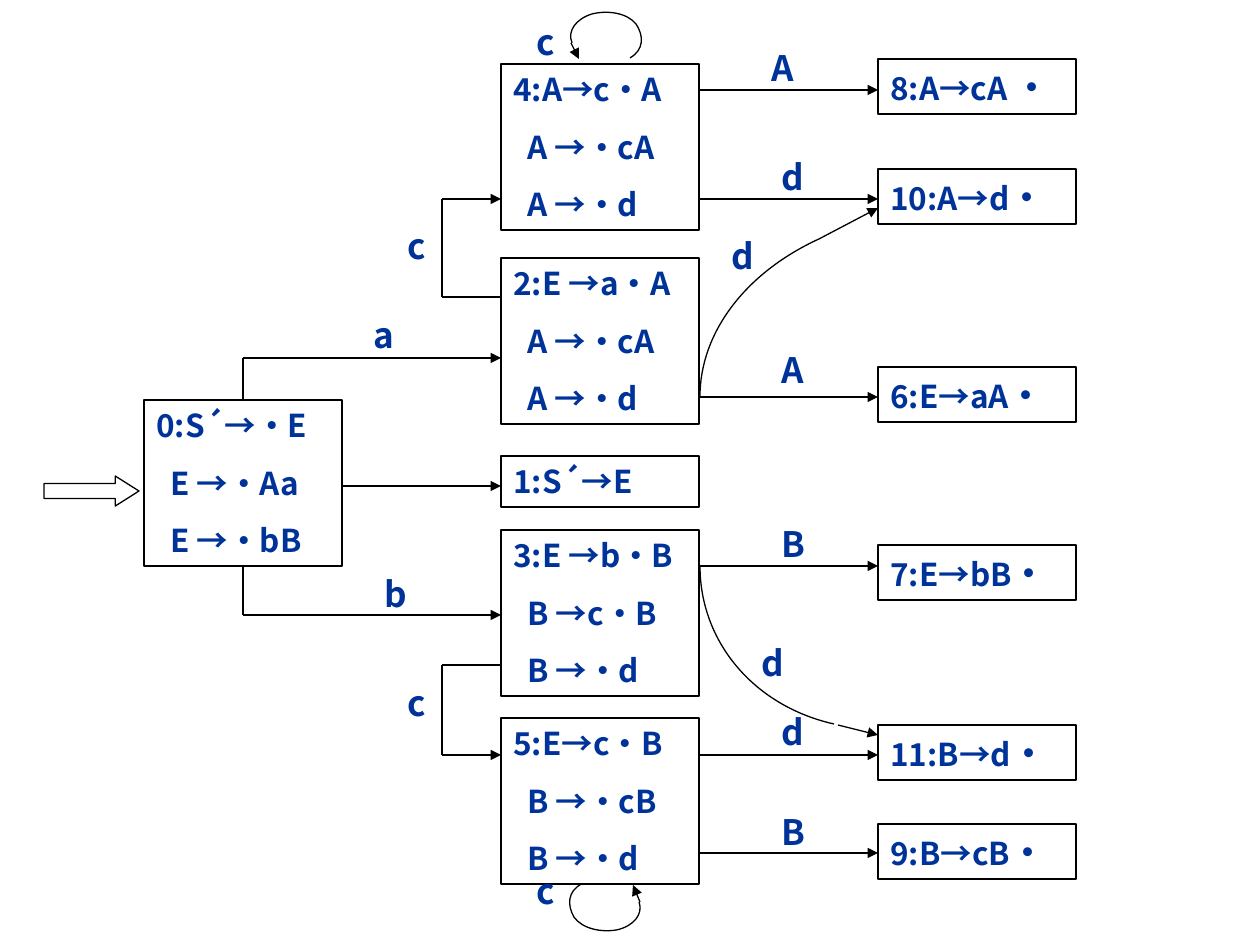
"""Draws the LR(0) item-set automaton of a small grammar on one slide."""
from itertools import pairwise
from typing import NamedTuple

from lxml import etree
from pptx import Presentation
from pptx.dml.color import RGBColor
from pptx.enum.shapes import MSO_CONNECTOR, MSO_SHAPE
from pptx.enum.text import MSO_ANCHOR, PP_ALIGN
from pptx.oxml.ns import qn
from pptx.util import Emu, Pt

STRAIGHT = MSO_CONNECTOR.STRAIGHT
RECTANGLE, RIGHT_ARROW = MSO_SHAPE.RECTANGLE, MSO_SHAPE.RIGHT_ARROW
TOP, CENTER, LEFT = MSO_ANCHOR.TOP, PP_ALIGN.CENTER, PP_ALIGN.LEFT
EMU_PER_PX = 914400 / 126
COLORS = {"text": "003399", "line": "000000"}
FONT = "Noto Sans CJK SC"
STATE_WIDTH, ITEM_INDENT = 198, 14
TOP_SITE, BOTTOM_SITE = 0, 2
START_X, MIDDLE_X, FINAL_X, BACK_X = 144, 501, 878, 442
MIDDLE_RIGHT = MIDDLE_X + STATE_WIDTH
START_MIDDLE = START_X + STATE_WIDTH // 2

Point = tuple[int, int]


class State(NamedTuple):
    left: int
    top: int
    height: int
    items: tuple[str, ...]
    dot: str = ""


class Edge(NamedTuple):
    points: tuple[Point, ...]
    source: int | None = None
    site: int = 0


class Curve(NamedTuple):
    left: int
    top: int
    width: int
    height: int
    controls: tuple[Point, ...]
    rotation: float = 0


class Label(NamedTuple):
    text: str
    center: int
    top: int


STATES = (
    State(START_X, 400, 166, ("0:S´→·E", "E →·Aa", "E →·bB")),
    State(MIDDLE_X, 64, 166, ("4:A→c·A", "A →·cA", "A →·d")),
    State(MIDDLE_X, 258, 166, ("2:E →a·A", "A →·cA", "A →·d")),
    State(MIDDLE_X, 456, 51, ("1:S´→E",)),
    State(MIDDLE_X, 530, 166, ("3:E →b·B", "B →c·B", "B →·d")),
    State(MIDDLE_X, 718, 166, ("5:E→c·B", "B →·cB", "B →·d")),
    State(FINAL_X, 59, 55, ("8:A→cA ",), "·"),
    State(FINAL_X, 169, 55, ("10:A→d",), "·"),
    State(FINAL_X, 367, 55, ("6:E→aA",), "·"),
    State(FINAL_X, 545, 55, ("7:E→bB",), "·"),
    State(FINAL_X, 725, 55, ("11:B→d",), "·"),
    State(FINAL_X, 824, 55, ("9:B→cB",), "·"),
)
EDGES = (
    Edge(((START_MIDDLE, 400), (START_MIDDLE, 358), (MIDDLE_X, 358)), 0, TOP_SITE),
    Edge(((START_X + STATE_WIDTH, 486), (MIDDLE_X, 486))),
    Edge(((START_MIDDLE, 566), (START_MIDDLE, 615), (MIDDLE_X, 615)), 0, BOTTOM_SITE),
    Edge(((MIDDLE_X, 297), (BACK_X, 297), (BACK_X, 199), (MIDDLE_X, 199))),
    Edge(((MIDDLE_X, 665), (BACK_X, 665), (BACK_X, 755), (MIDDLE_X, 755))),
    *(Edge(((MIDDLE_RIGHT, y), (FINAL_X, y))) for y in (90, 199, 397, 566, 755, 853)),
    Edge(((571, 43), (579, 59))),
    Edge(((640, 902), (633, 885))),
    Edge(((838, 725), (FINAL_X, 735))),
    Edge(((819, 239), (FINAL_X, 208))),
)
LOOP = ((59, 44), (73, 36), (73, 22), (65, 10), (56, -1), (37, -4), (21, 0), (5, 5), (-4, 17), (1, 29))
CURVES = (
    Curve(571, 14, 69, 52, LOOP),
    Curve(571, 877, 69, 52, LOOP, 183.3),
    Curve(700, 401, 377, 331, ((243, 8), (323, 26), (377, 90), (377, 166)), 180),
    Curve(699, 214, 466, 374, ((120, 25), (46, 59), (1, 119), (1, 183))),
)
LABELS = (
    Label("c", 546, 14), Label("c", 417, 218), Label("c", 417, 675), Label("c", 546, 863),
    Label("a", 384, 307), Label("b", 396, 566),
    Label("A", 783, 40), Label("d", 793, 149), Label("d", 743, 228), Label("A", 793, 342),
    Label("B", 793, 516), Label("d", 773, 635), Label("d", 793, 704), Label("B", 793, 804),
)


def px(length: float) -> Emu:
    """Turn pixels into EMU."""
    return Emu(round(length * EMU_PER_PX))


def outline(line) -> None:
    """Give a line its colour and width."""
    line.color.rgb = RGBColor.from_string(COLORS["line"])
    line.width = Pt(0.75)


def strip_block(block) -> None:
    """Leave a shape with its outline only."""
    block.shadow.inherit = False
    block.fill.background()
    outline(block.line)


def style(paragraph, size: int, alignment) -> None:
    """Format one paragraph of text."""
    font = paragraph.font
    font.name, font.size, font.bold = FONT, Pt(size), True
    font.color.rgb = RGBColor.from_string(COLORS["text"])
    paragraph.alignment = alignment


def add_block(slide, kind, left: int, top: int, width: int, height: int):
    """Add an outlined preset shape."""
    block = slide.shapes.add_shape(kind, px(left), px(top), px(width), px(height))
    strip_block(block)
    return block


def add_state(slide, state: State):
    """Add a state box listing its items."""
    box = add_block(slide, RECTANGLE, state.left, state.top, STATE_WIDTH, state.height)
    frame = box.text_frame
    frame.vertical_anchor = TOP
    for index, item in enumerate(state.items):
        paragraph = frame.paragraphs[0] if index == 0 else frame.add_paragraph()
        style(paragraph, 18, LEFT)
        paragraph.space_before = Pt(11.2)
        paragraph.add_run().text = item
        if index:
            paragraph._p.get_or_add_pPr().set("marL", str(px(ITEM_INDENT)))
    if state.dot:
        dot = frame.paragraphs[0].add_run()
        dot.text, dot.font.size = state.dot, Pt(20)
    return box


def add_edge(slide, edge: Edge, boxes: list) -> None:
    """Add the straight legs of a transition, the last one with an arrowhead."""
    for index, (start, end) in enumerate(pairwise(edge.points)):
        leg = slide.shapes.add_connector(STRAIGHT, *map(px, start + end))
        outline(leg.line)
        etree.SubElement(leg._element.spPr, qn("a:effectLst"))
        if index == 0 and edge.source is not None:
            leg.begin_connect(boxes[edge.source], edge.site)
    etree.SubElement(leg.line._get_or_add_ln(), qn("a:tailEnd"), type="triangle")


def add_curve(slide, curve: Curve) -> None:
    """Add an open outline of cubic Bézier arcs inside its frame."""
    builder = slide.shapes.build_freeform(curve.left, curve.top, EMU_PER_PX)
    builder.add_line_segments([(curve.left + curve.width, curve.top + curve.height)], close=False)
    bow = builder.convert_to_shape()
    strip_block(bow)
    bow.rotation = curve.rotation
    trace = next(bow._element.iter(qn("a:path")))
    for segment in list(trace):
        trace.remove(segment)
    for index, (x, y) in enumerate(curve.controls):
        if index % 3 == 0 and index:
            pass
        elif index == 0:
            segment = etree.SubElement(trace, qn("a:moveTo"))
        elif index % 3 == 1:
            segment = etree.SubElement(trace, qn("a:cubicBezTo"))
        etree.SubElement(segment, qn("a:pt"), x=str(x), y=str(y))


def add_label(slide, label: Label, width: int = 49) -> None:
    """Add the symbol of a transition."""
    box = slide.shapes.add_textbox(px(label.center - width / 2), px(label.top), px(width), px(55))
    frame = box.text_frame
    frame.word_wrap = True
    frame.text = label.text
    style(frame.paragraphs[0], 20, CENTER)


def main() -> None:
    """Build and save the slide."""
    deck = Presentation()
    deck.slide_width, deck.slide_height = px(1260), px(945)
    slide = deck.slides.add_slide(deck.slide_layouts[6])
    boxes = [add_state(slide, state) for state in STATES]
    entry = add_block(slide, RIGHT_ARROW, 44, 476, 95, 30)
    entry.adjustments[1] = 0.79
    for edge in EDGES:
        add_edge(slide, edge, boxes)
    for curve in CURVES:
        add_curve(slide, curve)
    for label in LABELS:
        add_label(slide, label)
    deck.save("out.pptx")


if __name__ == "__main__":
    main()
